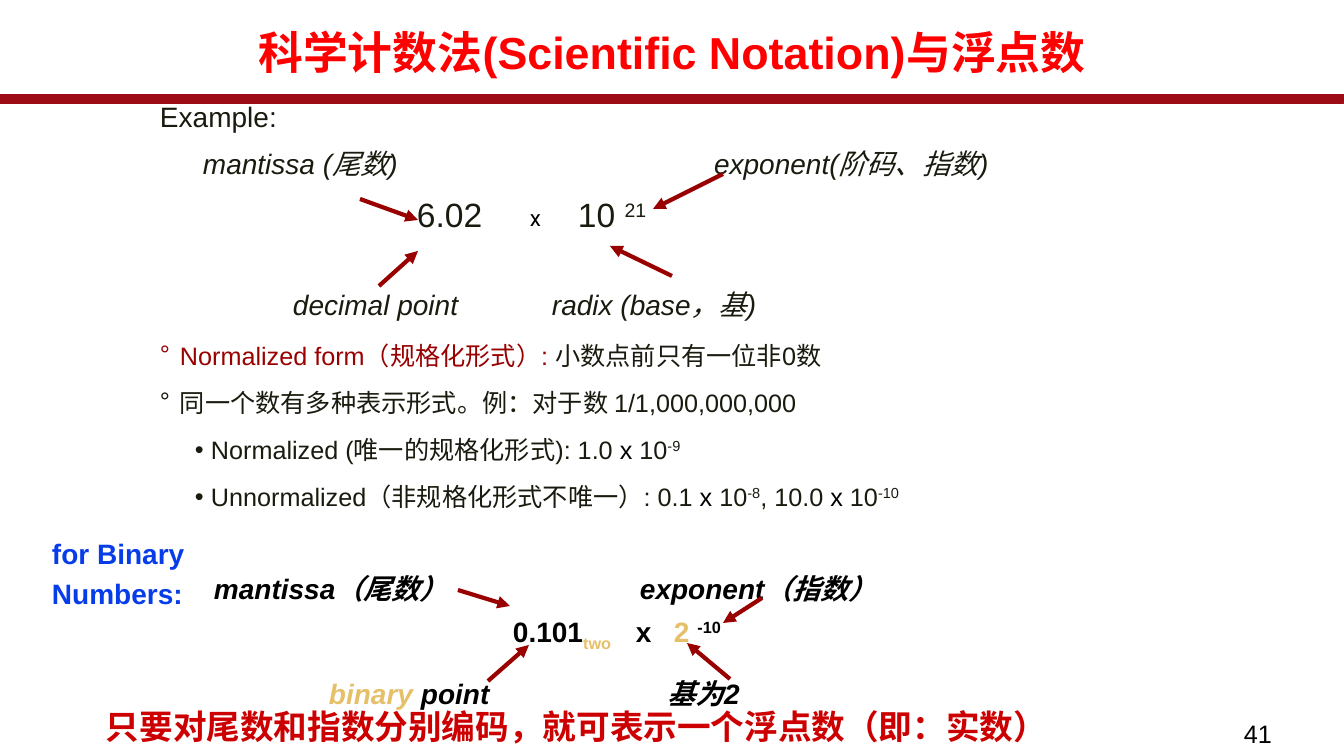
import pptx
import pptx.dml.color
import pptx.enum.shapes
import pptx.enum.text
import pptx.oxml
import pptx.oxml.ns
import pptx.util
from lxml import etree

RGBColor = pptx.dml.color.RGBColor
RED = RGBColor(0xFF, 0x00, 0x00)
BAR_RED = RGBColor(0x9C, 0x0C, 0x15)
DARK_RED = RGBColor(0x99, 0x00, 0x00)
NOTE_RED = RGBColor(0xCC, 0x00, 0x00)
INK = RGBColor(0x19, 0x1B, 0x0E)
BLACK = RGBColor(0x00, 0x00, 0x00)
GOLD = RGBColor(0xE6, 0xC0, 0x69)
BLUE = RGBColor(0x06, 0x3D, 0xE9)

EMU_PER_PX = 914400 / 100.8
PX_PER_POINT = 1.4
ARIAL_ASCENT = 0.905
ALIGN = pptx.enum.text.PP_ALIGN

# Arrow tails and heads in px
ARROWS = [
    ((360, 199), (418, 220)), ((723, 174), (653, 209)),
    ((379, 286), (418, 251)), ((672, 276), (610, 246)),
    ((458, 590), (510, 606)), ((762, 598), (723, 623)),
    ((488, 681), (529, 645)), ((730, 679), (687, 643)),
]


def px(length):
    return pptx.util.Emu(round(length * EMU_PER_PX))


def add_element(parent, tag, **attributes):
    element = etree.SubElement(parent, pptx.oxml.ns.qn(tag))
    for name, value in attributes.items():
        element.set(name, str(value))


def place(shape, left, top, width, height):
    shape.left, shape.top = px(left), px(top)
    shape.width, shape.height = px(width), px(height)


def prepare_frame(shape, inset_x=10, inset_y=5):
    frame = shape.text_frame
    frame.word_wrap = True
    frame.auto_size = pptx.enum.text.MSO_AUTO_SIZE.NONE
    frame.vertical_anchor = pptx.enum.text.MSO_ANCHOR.TOP
    frame.margin_left = frame.margin_right = px(inset_x)
    frame.margin_top = frame.margin_bottom = px(inset_y)
    return frame


def add_text_frame(slide, left, top, width, height, inset_x=10, inset_y=5):
    box = slide.shapes.add_textbox(px(left), px(top), px(width), px(height))
    return prepare_frame(box, inset_x, inset_y)


def add_paragraph(frame, runs, margin=0, hanging=0, bullet=None,
                  line_spacing=1.0, before=0, after=0, align=ALIGN.LEFT, **style):
    """Append a paragraph; each run is (text, overrides of the shared style)."""
    first = frame.paragraphs[0]
    paragraph = first if not first.runs else frame.add_paragraph()
    properties = paragraph._p.get_or_add_pPr()
    properties.set("marL", str(px(margin)))
    properties.set("indent", str(px(-hanging)))
    if bullet:
        add_element(properties, "a:buChar", char=bullet)
    else:
        add_element(properties, "a:buNone")
    paragraph.alignment = align
    paragraph.line_spacing = line_spacing
    paragraph.space_before = pptx.util.Pt(before)
    paragraph.space_after = pptx.util.Pt(after)
    for text, overrides in runs:
        add_run(paragraph, text, **{**style, **overrides})


def add_run(paragraph, text, size, color, bold=False, italic=False,
            font="Arial", baseline=0):
    """Baseline is the raise in percent, negative for subscripts."""
    run = paragraph.add_run()
    run.text = text
    run.font.size = pptx.util.Pt(size)
    run.font.name = font
    run.font.bold = bold
    run.font.italic = italic
    run.font.color.rgb = color
    if baseline:
        run._r.get_or_add_rPr().set("baseline", str(baseline * 1000))


def add_label(slide, left, baseline_y, width, *runs, size=20, **style):
    """Put one line of text so that it stands on baseline_y."""
    top = round(baseline_y - ARIAL_ASCENT * size * PX_PER_POINT)
    height = round(1.2 * size * PX_PER_POINT)
    frame = add_text_frame(slide, left, top, width, height, 0, 0)
    add_paragraph(frame, runs, size=size, **style)


def add_arrow(slide, start, end):
    arrow = slide.shapes.add_connector(
        pptx.enum.shapes.MSO_CONNECTOR.STRAIGHT, *map(px, start + end))
    arrow.line.color.rgb = DARK_RED
    arrow.line.width = pptx.util.Pt(3)
    add_element(arrow.line._get_or_add_ln(), "a:tailEnd", type="triangle")
    add_element(arrow._element.spPr, "a:effectLst")


def add_title(slide):
    title = slide.shapes.title
    place(title, 0, 26, 1344, 75)
    add_paragraph(prepare_frame(title), [("科学计数法(Scientific Notation)与浮点数", {})],
                  line_spacing=0.89, align=ALIGN.CENTER, size=32, color=RED, bold=True)


def add_title_bar(slide):
    bar = slide.shapes.add_shape(pptx.enum.shapes.MSO_SHAPE.ROUNDED_RECTANGLE,
                                 px(0), px(96), px(1344), px(6))
    bar.shadow.inherit = False
    bar.fill.solid()
    bar.fill.fore_color.rgb = BAR_RED
    bar.line.color.rgb = BAR_RED
    bar.line.width = pptx.util.Pt(2.75)


def add_decimal_example(slide):
    term = dict(color=INK, italic=True)
    add_label(slide, 160, 124, 150, ("Example:", {}), color=INK)
    add_label(slide, 203, 171, 240, ("mantissa (尾数)", {}), **term)
    add_label(slide, 714, 171, 330, ("exponent(阶码、指数)", {}), **term)
    add_label(slide, 417, 224, 90, ("6.02", {}), size=24, color=INK)
    add_label(slide, 530, 224, 30, ("x", {}), size=16, color=BLACK, font="Roboto")
    add_label(slide, 578, 224, 90, ("10 ", {}), ("21", dict(baseline=30)),
              size=24, color=INK)
    add_label(slide, 293, 312, 200, ("decimal point", {}), **term)
    add_label(slide, 552, 312, 260, ("radix (base，基)", {}), **term)


def add_forms_list(slide):
    body = slide.placeholders[1]
    place(body, 153, 337, 936, 180)
    frame = prepare_frame(body, 7, 3)
    detail = dict(size=18, color=INK, after=2)
    circle = dict(margin=20, hanging=20, bullet="°", **detail)
    dot = dict(margin=51, hanging=16, bullet="•", before=10, **detail)
    times = ("x", dict(color=BLACK))
    raised = dict(baseline=30)
    add_paragraph(frame, [("Normalized form（规格化形式）: ", dict(color=DARK_RED)),
                          ("小数点前只有一位非0数", {})], **circle)
    add_paragraph(frame, [("同一个数有多种表示形式。例：对于数 1/1,000,000,000", {})],
                  before=10, **circle)
    add_paragraph(frame, [("Normalized (唯一的规格化形式): 1.0 ", {}), times,
                          (" 10", {}), ("-9", raised)], **dot)
    add_paragraph(frame, [("Unnormalized（非规格化形式不唯一）: 0.1 ", {}), times,
                          (" 10", {}), ("-8", raised), (", 10.0 ", {}), times,
                          (" 10", {}), ("-10", raised)], **dot)


def add_binary_example(slide):
    number = dict(color=BLACK, bold=True)
    term = dict(italic=True, **number)
    gold = dict(color=GOLD)
    add_label(slide, 214, 597, 270, ("mantissa（尾数）", {}), **term)
    add_label(slide, 640, 597, 270, ("exponent（指数）", {}), **term)
    add_label(slide, 513, 639, 115, ("0.101", {}),
              ("two", dict(baseline=-25, **gold)), **number)
    add_label(slide, 636, 639, 30, ("x", {}), **number)
    add_label(slide, 674, 639, 70, ("2 ", gold), ("-10", dict(baseline=30)), **number)
    add_label(slide, 329, 701, 190, ("binary ", gold), ("point", {}), **term)
    add_label(slide, 668, 701, 110, ("基为2", {}), **term)
    add_paragraph(add_text_frame(slide, 42, 525, 200, 90), [("for Binary Numbers:", {})],
                  line_spacing=1.2, size=20, color=BLUE, bold=True)


def main():
    presentation = pptx.Presentation()
    presentation.slide_width, presentation.slide_height = px(1344), px(756)
    slide = presentation.slides.add_slide(presentation.slide_layouts[1])
    add_title_bar(slide)
    add_title(slide)
    add_decimal_example(slide)
    add_forms_list(slide)
    add_binary_example(slide)
    for start, end in ARROWS:
        add_arrow(slide, start, end)
    add_paragraph(add_text_frame(slide, 96, 701, 977, 50),
                  [("只要对尾数和指数分别编码，就可表示一个浮点数（即：实数）", {})],
                  size=24, color=NOTE_RED, bold=True, font="Times New Roman")
    add_paragraph(add_text_frame(slide, 1234, 713, 110, 43), [("41", {})],
                  size=18, color=BLACK)
    presentation.save("out.pptx")


if __name__ == "__main__":
    main()
